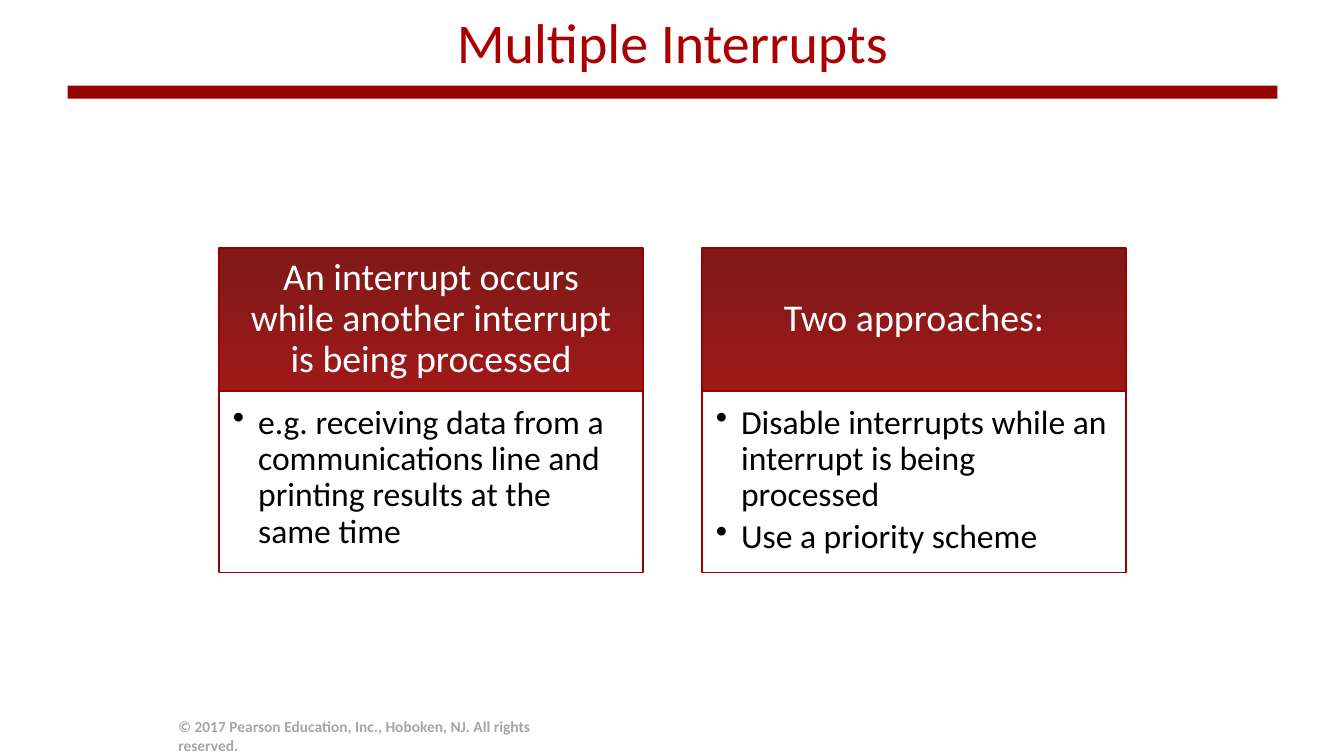
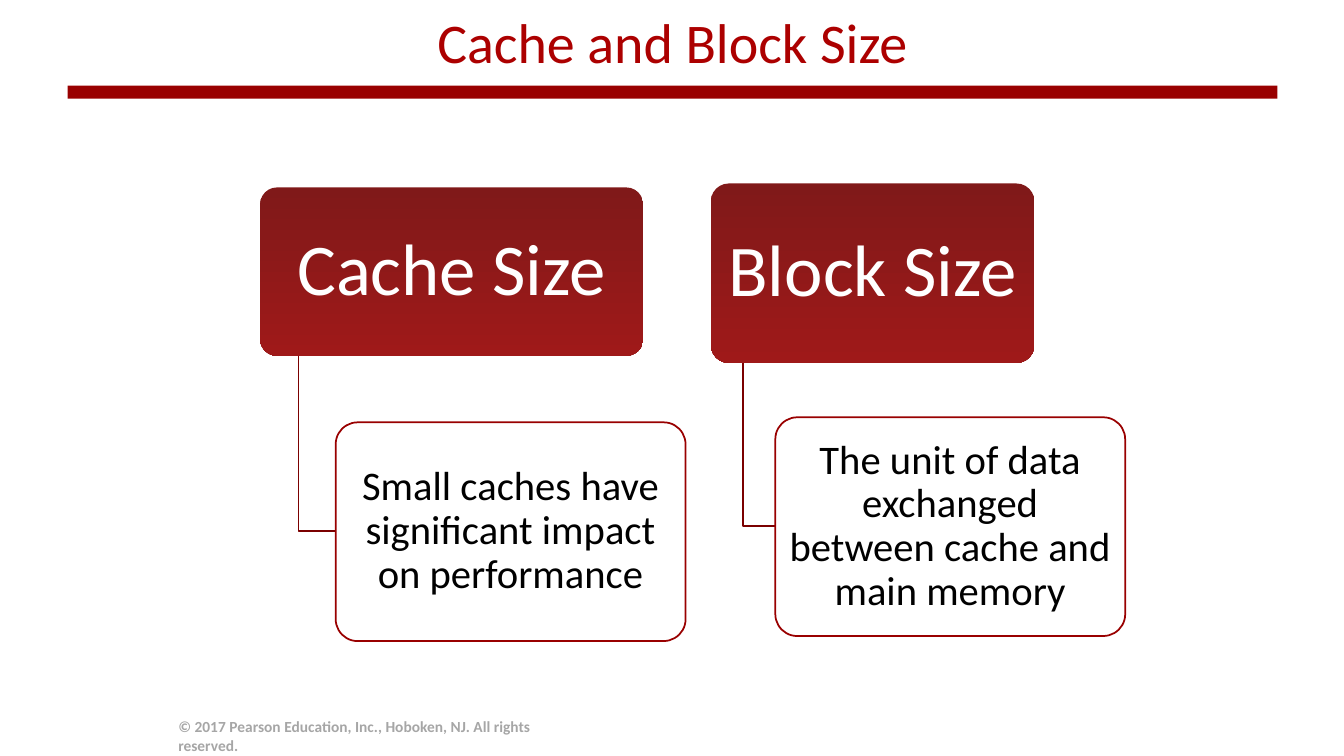
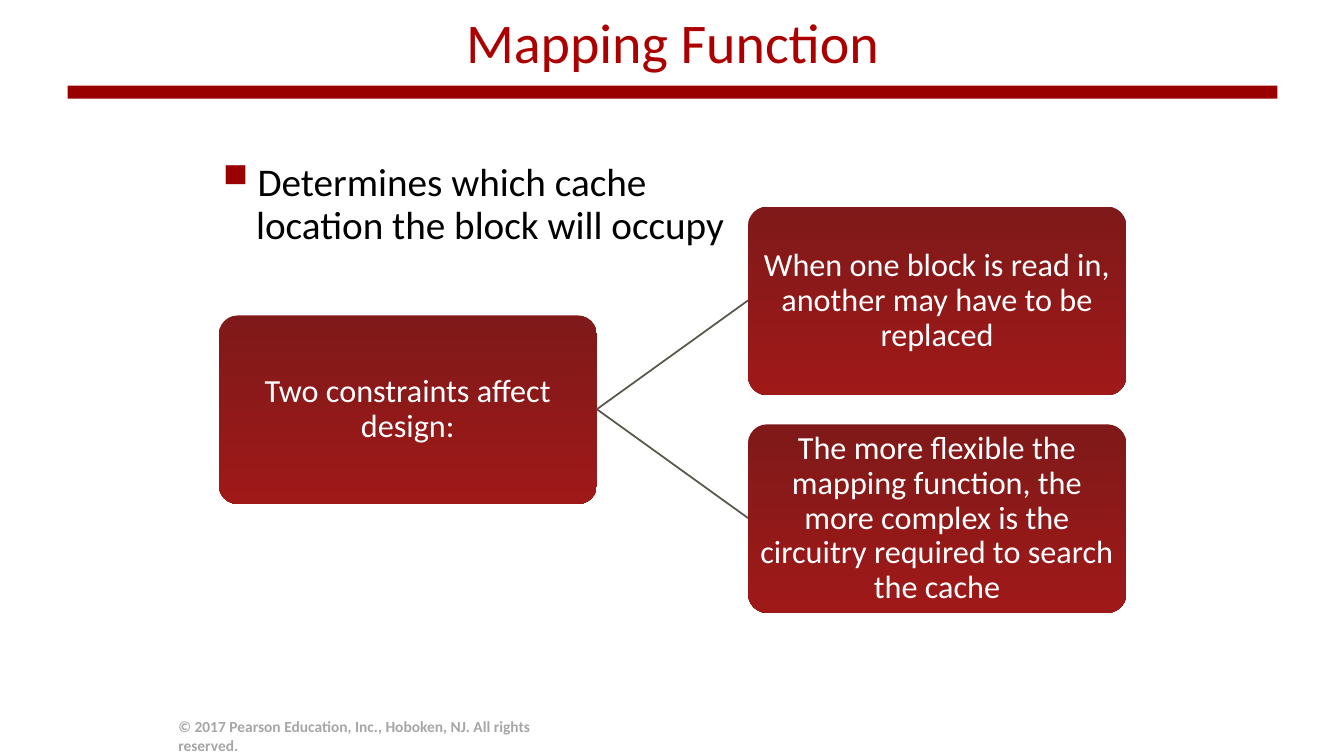
from dataclasses import dataclass

from lxml.etree import SubElement
from pptx import Presentation
from pptx.dml.color import RGBColor
from pptx.enum.shapes import MSO_CONNECTOR, MSO_SHAPE
from pptx.enum.text import MSO_ANCHOR, PP_ALIGN
from pptx.oxml.ns import qn
from pptx.util import Pt

PX = 9144  # 100 px to the inch


@dataclass(frozen=True)
class Theme:
    font: str = "Calibri"
    band: str = "990000"
    title: str = "AC0000"
    grad: tuple = ("801919", "9F1919")
    elbow: str = "7B0000"
    branch: str = "59564B"
    footer: str = "A6A6A6"
    white: str = "FFFFFF"
    black: str = "000000"
    title_pt: int = 40
    header_pt: int = 27
    body_pt: int = 24
    topic_pt: int = 52
    detail_pt: int = 29
    node_pt: int = 23
    lead_pt: int = 28
    footer_pt: int = 11
    line_pt: float = 1.25


T = Theme()
rgb = RGBColor.from_string


def box(s, x, y, w, h, kind=None, fill=None, line=None):
    """Add a preset shape, or a text box if kind is None; a tuple fill is a gradient."""
    at = [v * PX for v in (x, y, w, h)]
    if kind is None:
        return s.shapes.add_textbox(*at)
    sp = s.shapes.add_shape(kind, *at)
    sp.shadow.inherit = False
    if kind == MSO_SHAPE.ROUNDED_RECTANGLE:
        sp.adjustments[0] = 0.1
    if isinstance(fill, tuple):
        sp.fill.gradient()
        sp.fill.gradient_angle = 270
        for stop, color in zip(sp.fill.gradient_stops, fill):
            stop.color.rgb = rgb(color)
    else:
        sp.fill.solid()
        sp.fill.fore_color.rgb = rgb(fill)
    if line:
        sp.line.color.rgb = rgb(line)
        sp.line.width = Pt(T.line_pt)
    else:
        sp.line.fill.background()
    return sp


def write(sp, *paragraphs, size, color, bold=False, align=PP_ALIGN.CENTER,
          anchor=MSO_ANCHOR.MIDDLE, inset=(10, 5, 10, 5), spacing=0.9,
          after=0, bullet=None, hang=0, bullet_color=None, bullet_pct=100):
    tf = sp.text_frame
    tf.word_wrap = True
    tf.vertical_anchor = anchor
    tf.margin_left, tf.margin_top, tf.margin_right, tf.margin_bottom = [v * PX for v in inset]
    for i, text in enumerate(paragraphs):
        p = tf.add_paragraph() if i else tf.paragraphs[0]
        p.alignment = align
        p.line_spacing = spacing
        p.space_after = Pt(after)
        if bullet:
            pPr = p._p.get_or_add_pPr()
            pPr.set("marL", str(hang * PX))
            pPr.set("indent", str(-hang * PX))
            clr = SubElement(pPr, qn("a:buClr"))
            SubElement(clr, qn("a:srgbClr"), val=bullet_color or color)
            SubElement(pPr, qn("a:buSzPct"), val=str(bullet_pct * 1000))
            SubElement(pPr, qn("a:buChar"), char=bullet)
        r = p.add_run()
        r.text = text
        r.font.name = T.font
        r.font.size = Pt(size)
        r.font.bold = bold
        r.font.color.rgb = rgb(color)


prs = Presentation()
prs.slide_width, prs.slide_height = 1333 * PX, 750 * PX

slides = []
for title in ("Multiple Interrupts", "Cache and Block Size", "Mapping Function"):
    s = prs.slides.add_slide(prs.slide_layouts[6])
    box(s, 67, 85, 1200, 13, MSO_SHAPE.RECTANGLE, T.band)
    write(box(s, 67, 14, 1200, 60), title, size=T.title_pt, color=T.title,
          anchor=MSO_ANCHOR.BOTTOM, inset=(10, 0, 10, 0), spacing=Pt(54))
    write(box(s, 167, 710, 374, 40),
          "© 2017 Pearson Education, Inc., Hoboken, NJ. All rights reserved.",
          size=T.footer_pt, color=T.footer, bold=True, align=PP_ALIGN.LEFT, spacing=1.0)
    slides.append(s)
interrupts, cache, mapping = slides

# Multiple Interrupts: two cards, each a header over a bulleted body
cards = [
    ("An interrupt occurs while another interrupt is being processed",
     ["e.g. receiving data from a communications line and printing results at the same time"]),
    ("Two approaches:",
     ["Disable interrupts while an interrupt is being processed", "Use a priority scheme"]),
]
for i, (header, points) in enumerate(cards):
    x = 217 + 479 * i
    write(box(interrupts, x, 246, 421, 142, MSO_SHAPE.RECTANGLE, T.grad, T.band),
          header, size=T.header_pt, color=T.white, inset=(21, 12, 21, 12))
    write(box(interrupts, x, 388, 421, 180, MSO_SHAPE.RECTANGLE, T.white, T.band),
          *points, size=T.body_pt, color=T.black, align=PP_ALIGN.LEFT,
          anchor=MSO_ANCHOR.TOP, inset=(14, 14, 19, 21), after=4, bullet="•", hang=25)

# Cache and Block Size: each topic hangs a detail box from an elbow line
topics = [
    ("Cache Size", (258, 186, 380, 167), (333, 419),
     "Small caches have significant impact on performance"),
    ("Block Size", (705, 182, 321, 178), (769, 414),
     "The unit of data exchanged between cache and main memory"),
]
detail_w, detail_h = 347, 217
for topic, (x, y, w, h), (dx, dy), detail in topics:
    write(box(cache, x, y, w, h, MSO_SHAPE.ROUNDED_RECTANGLE, T.grad),
          topic, size=T.topic_pt, color=T.white, inset=(11, 7, 11, 7))
    stem_x, mid_y = x + w // 10, dy + detail_h // 2
    fb = cache.shapes.build_freeform(stem_x, y + h, scale=PX)
    fb.add_line_segments([(stem_x, mid_y), (dx, mid_y)], close=False)
    elbow = fb.convert_to_shape()
    elbow.shadow.inherit = False
    elbow.fill.background()
    elbow.line.color.rgb = rgb(T.elbow)
    elbow.line.width = Pt(T.line_pt)
    write(box(cache, dx, dy, detail_w, detail_h, MSO_SHAPE.ROUNDED_RECTANGLE, T.white, T.band),
          detail, size=T.detail_pt, color=T.black, inset=(6, 4, 6, 4))

# Mapping Function: a root node branching to two constraints
node_w, node_h = 375, 187
root_x, root_y, leaf_x = 217, 313, 742
nodes = [
    (root_x, root_y, "Two constraints affect design:"),
    (leaf_x, 205, "When one block is read in, another may have to be replaced"),
    (leaf_x, 421, "The more flexible the mapping function, the more complex is the "
                  "circuitry required to search the cache"),
]
for x, y, text in nodes:
    if x == leaf_x:
        ends = (root_x + node_w, root_y + node_h // 2, leaf_x, y + node_h // 2)
        branch = mapping.shapes.add_connector(MSO_CONNECTOR.STRAIGHT, *[v * PX for v in ends])
        branch.line.color.rgb = rgb(T.branch)
        branch.line.width = Pt(T.line_pt)
        SubElement(branch._element.spPr, qn("a:effectLst"))
    write(box(mapping, x, y, node_w, node_h, MSO_SHAPE.ROUNDED_RECTANGLE, T.grad),
          text, size=T.node_pt, color=T.white, inset=(2, 2, 2, 2))
write(box(mapping, 200, 104, 533, 199),
      "Determines which cache location the block will occupy",
      size=T.lead_pt, color=T.black, align=PP_ALIGN.LEFT, inset=(12, 6, 6, 6),
      bullet="▪", hang=42, bullet_color=T.band, bullet_pct=150)

prs.save("out.pptx")
